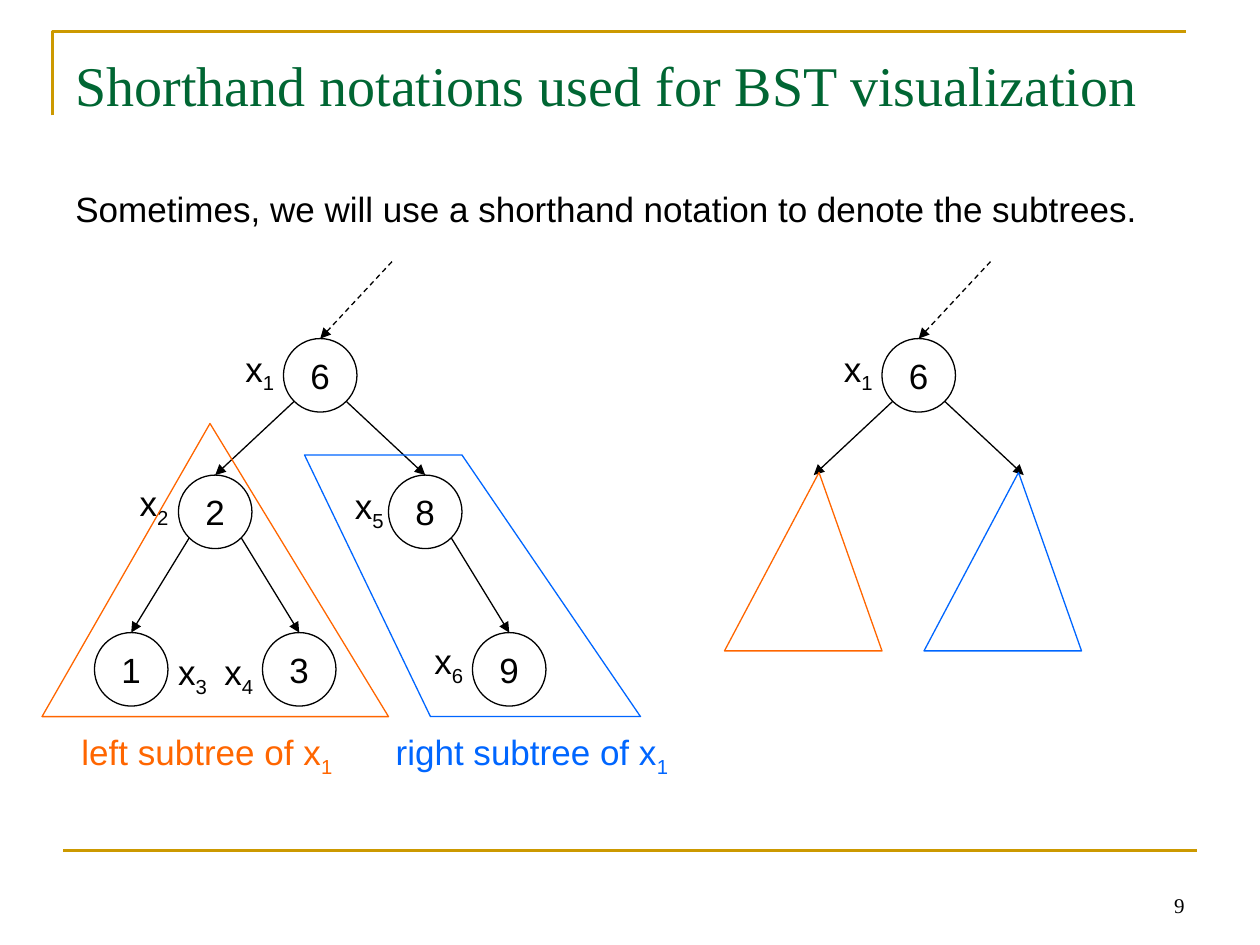
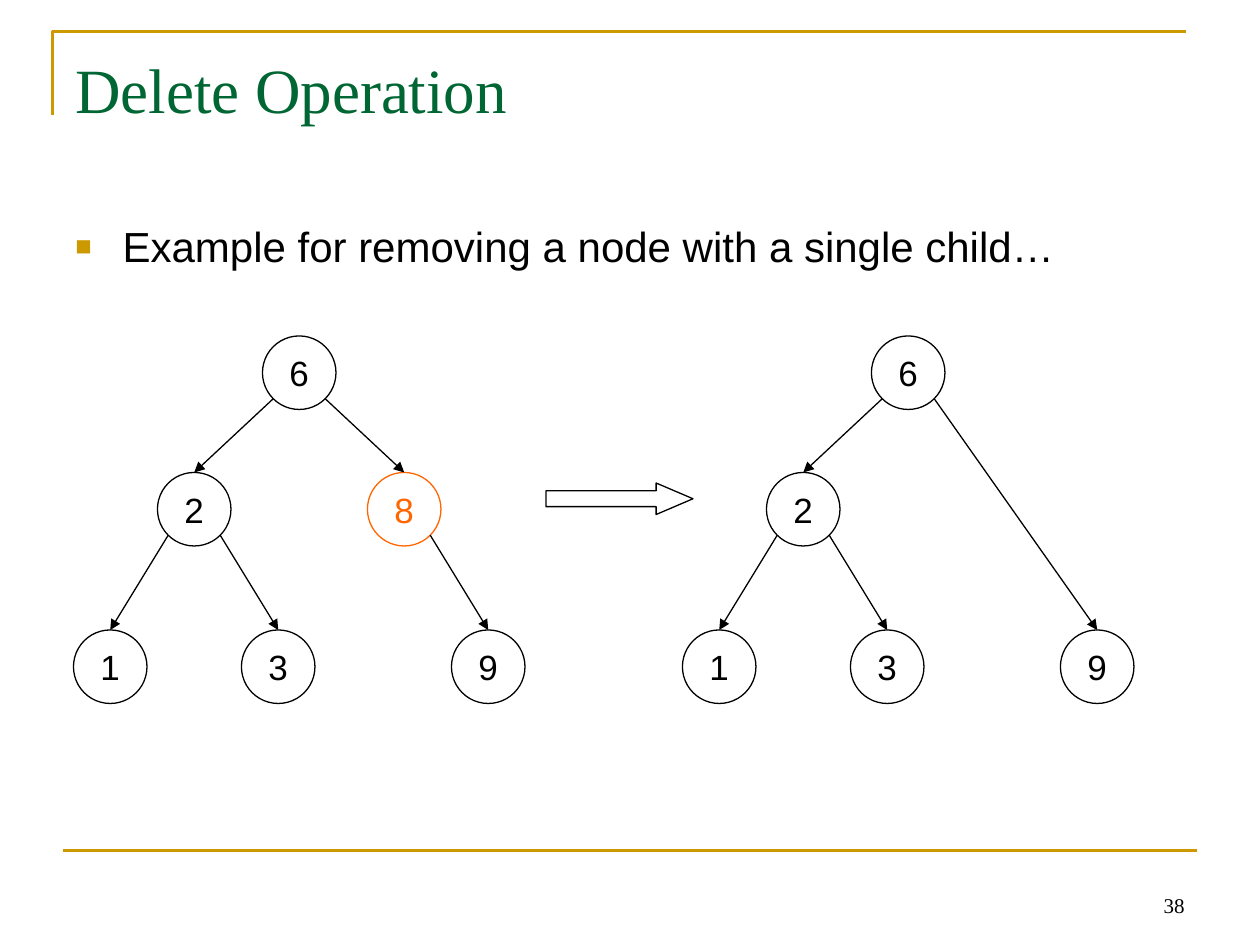
from dataclasses import dataclass
from math import sqrt

from lxml import etree
from pptx import Presentation
from pptx.dml.color import RGBColor
from pptx.enum.dml import MSO_LINE
from pptx.enum.shapes import MSO_CONNECTOR, MSO_SHAPE
from pptx.enum.text import MSO_ANCHOR, PP_ALIGN
from pptx.oxml.ns import qn
from pptx.util import Pt

LEFT, CENTER, RIGHT = PP_ALIGN.LEFT, PP_ALIGN.CENTER, PP_ALIGN.RIGHT
TOP, MIDDLE, BOTTOM = MSO_ANCHOR.TOP, MSO_ANCHOR.MIDDLE, MSO_ANCHOR.BOTTOM
OVAL, ARROW = MSO_SHAPE.OVAL, MSO_SHAPE.RIGHT_ARROW
STRAIGHT, DASH = MSO_CONNECTOR.STRAIGHT, MSO_LINE.DASH


@dataclass(frozen=True)
class Theme:
    black: str = "000000"
    green: str = "006633"
    gold: str = "CC9900"
    orange: str = "FF6600"
    blue: str = "0066FF"
    serif: str = "Times New Roman"
    sans: str = "Arial"
    small: int = 12
    text: int = 20
    body: int = 24
    long: int = 32
    head: int = 36
    thin: float = 0.75
    thick: float = 1.5


# Node centres relative to the root
SPOTS = {"6": (0, 0), "2": (-60, 78), "8": (60, 78),
         "1": (-108, 168), "3": (-12, 168), "9": (108, 168)}
SIZE = 42
FULL = ("62", "68", "21", "23", "89")  # parent and child
CUT = ("62", "69", "21", "23")


class Deck:
    def __init__(self, theme):
        self.theme = theme
        self.prs = Presentation()
        self.prs.slide_width, self.prs.slide_height = Pt(720), Pt(540)
        self.slide = None

    def page(self, title, number, size=None):
        """Start a slide with its frame, title and page number."""
        t = self.theme
        self.slide = self.prs.slides.add_slide(self.prs.slide_layouts[6])
        self.poly([(30, 66), (30, 18), (678, 18)], t.gold, t.thick, False)
        self.line((36, 486), (684, 486), t.gold, t.thick)
        self.text(title, (36, 25.5, 648, 84), t.green, size or t.head,
                  t.serif, anchor=TOP)
        self.text(number, (516, 492, 168, 36), t.black, t.small, t.serif,
                  RIGHT, BOTTOM)

    def label(self, shape, text, color, size, font, align, anchor, inset, sub=""):
        """Put text, with an optional subscript, into a shape."""
        frame = shape.text_frame
        form = {"word_wrap": True, "vertical_anchor": anchor,
                "margin_left": Pt(2 * inset), "margin_right": Pt(2 * inset),
                "margin_top": Pt(inset), "margin_bottom": Pt(inset)}
        for key, value in form.items():
            setattr(frame, key, value)
        para = frame.paragraphs[0]
        para.alignment = align
        for part in filter(None, (text, sub)):
            run = para.add_run()
            run.text = part
            for key, value in {"name": font, "size": Pt(size)}.items():
                setattr(run.font, key, value)
            run.font.color.rgb = RGBColor.from_string(color)
        if sub:
            run.font._element.set("baseline", "-25000")
        return para

    def text(self, text, box, color, size=None, font=None, align=LEFT,
             anchor=MIDDLE, sub=""):
        shape = self.slide.shapes.add_textbox(*map(Pt, box))
        return self.label(shape, text, color, size or self.theme.text,
                          font or self.theme.sans, align, anchor, 3.6, sub)

    def bullet(self, text, box):
        t = self.theme
        para = self.text(text, box, t.black, t.body, anchor=TOP)
        props = para._p.get_or_add_pPr()
        for key, value in {"marL": Pt(27), "indent": -Pt(27)}.items():
            props.set(key, str(value))
        tint = etree.SubElement(props, qn("a:buClr"))
        etree.SubElement(tint, qn("a:srgbClr")).set("val", t.gold)
        for tag, key, value in (("a:buSzPct", "val", "65000"),
                                ("a:buFont", "typeface", t.sans),
                                ("a:buChar", "char", "■")):
            etree.SubElement(props, qn(tag)).set(key, value)

    def ink(self, shape, color, width):
        shape.line.color.rgb = RGBColor.from_string(color)
        shape.line.width = Pt(width)

    def outline(self, shape, color, width):
        shape.shadow.inherit = False
        shape.fill.background()
        self.ink(shape, color, width)
        return shape

    def poly(self, spots, color, width=None, close=True):
        first, *rest = [(Pt(x), Pt(y)) for x, y in spots]
        pen = self.slide.shapes.build_freeform(*first)
        pen.add_line_segments(rest, close=close)
        self.outline(pen.convert_to_shape(), color, width or self.theme.thin)

    def line(self, start, end, color=None, width=None, tip=False, dash=False,
             node=None):
        t = self.theme
        link = self.slide.shapes.add_connector(
            STRAIGHT, *map(Pt, (*start, *end)))
        self.ink(link, color or t.black, width or t.thin)
        if dash:
            link.line.dash_style = DASH
        if tip:
            tail = etree.SubElement(link.line._get_or_add_ln(), qn("a:tailEnd"))
            tail.set("type", "triangle")
        etree.SubElement(link._element.spPr, qn("a:effectLst"))
        if node is not None:
            link.end_connect(node, 0)

    def shape(self, kind, box, color):
        item = self.slide.shapes.add_shape(kind, *map(Pt, box))
        return self.outline(item, color, self.theme.thin)

    def node(self, key, x, y, color):
        half = SIZE / 2
        item = self.shape(OVAL, (x - half, y - half, SIZE, SIZE), color)
        self.label(item, key, color, self.theme.text, self.theme.sans,
                   CENTER, MIDDLE, 0)
        return item

    def tree(self, x, y, keys, edges, marked=""):
        """Draw nodes around the root centre (x, y), then their edges."""
        t = self.theme
        spots = {key: (x + dx, y + dy) for key, (dx, dy) in SPOTS.items()}
        nodes = {key: self.node(key, *spots[key],
                                t.orange if key in marked else t.black)
                 for key in keys}
        reach = SIZE / 2 / sqrt(2)
        for above, below in edges:
            (px, py), (cx, cy) = spots[above], spots[below]
            side = reach if cx > px else -reach
            self.line((px + side, py + reach), (cx, cy - SIZE / 2), tip=True,
                      node=nodes.get(below))
        return nodes

    def entry(self, x, y, root):
        """Dashed arrow that comes from further up the tree."""
        top = y - SIZE / 2
        self.line((x + 41, top - 44), (x, top), tip=True, dash=True, node=root)

    def tag(self, sub, x, y):
        self.text("x", (x - 18, y - 17, 36, 34), self.theme.black,
                  align=CENTER, sub=sub)


def short(deck):
    t = deck.theme
    deck.page("Shorthand notations used for BST visualization", "9", t.long)
    deck.text("Sometimes, we will use a shorthand notation to denote the subtrees.",
              (36, 103, 648, 32), t.black)

    # Full tree with its labels
    x, y = 183, 214.5
    nodes = deck.tree(x, y, SPOTS, FULL)
    deck.entry(x, y, nodes["6"])
    tags = {"6": ("1", -34.5, -2.5), "2": ("2", -35, -3.5),
            "1": ("3", 35, 3), "3": ("4", -34.5, 3),
            "8": ("5", -32, -2), "9": ("6", -34.5, -3.5)}
    for key, (sub, dx, dy) in tags.items():
        left, down = SPOTS[key]
        deck.tag(sub, x + left + dx, y + down + dy)

    # Outlines of both subtrees
    deck.poly([(120, 242), (222, 409.5), (24, 409.5)], t.orange)
    deck.poly([(174, 260), (264, 260), (366, 409.5), (246, 409.5)], t.blue)
    for side, left, width, color in (("left", 39.5, 166, t.orange),
                                     ("right", 219, 178, t.blue)):
        deck.text(f"{side} subtree of x", (left, 414, width, 34.5), color, sub="1")

    # Shorthand tree
    x = 525
    nodes = deck.tree(x, y, "6", FULL[:2])
    deck.tag("1", x - 34.5, y - 2.5)
    deck.entry(x, y, nodes["6"])
    for left, color in ((414, t.orange), (528, t.blue)):
        deck.poly([(left + 54, 270), (left, 372), (left + 90, 372)], color)


def delete(deck):
    deck.page("Delete Operation", "38")
    deck.bullet("Example for removing a node with a single child…",
                (36, 122.5, 648, 355))

    # Before and after
    deck.tree(171, 213, SPOTS, FULL, marked="8")
    deck.tree(519, 213, "62139", CUT)
    arrow = deck.shape(ARROW, (312, 276, 84, 18), deck.theme.black)
    arrow.adjustments[0], arrow.adjustments[1] = 0.5, 1.17


def main():
    deck = Deck(Theme())
    short(deck)
    delete(deck)
    deck.prs.save("out.pptx")


if __name__ == "__main__":
    main()
